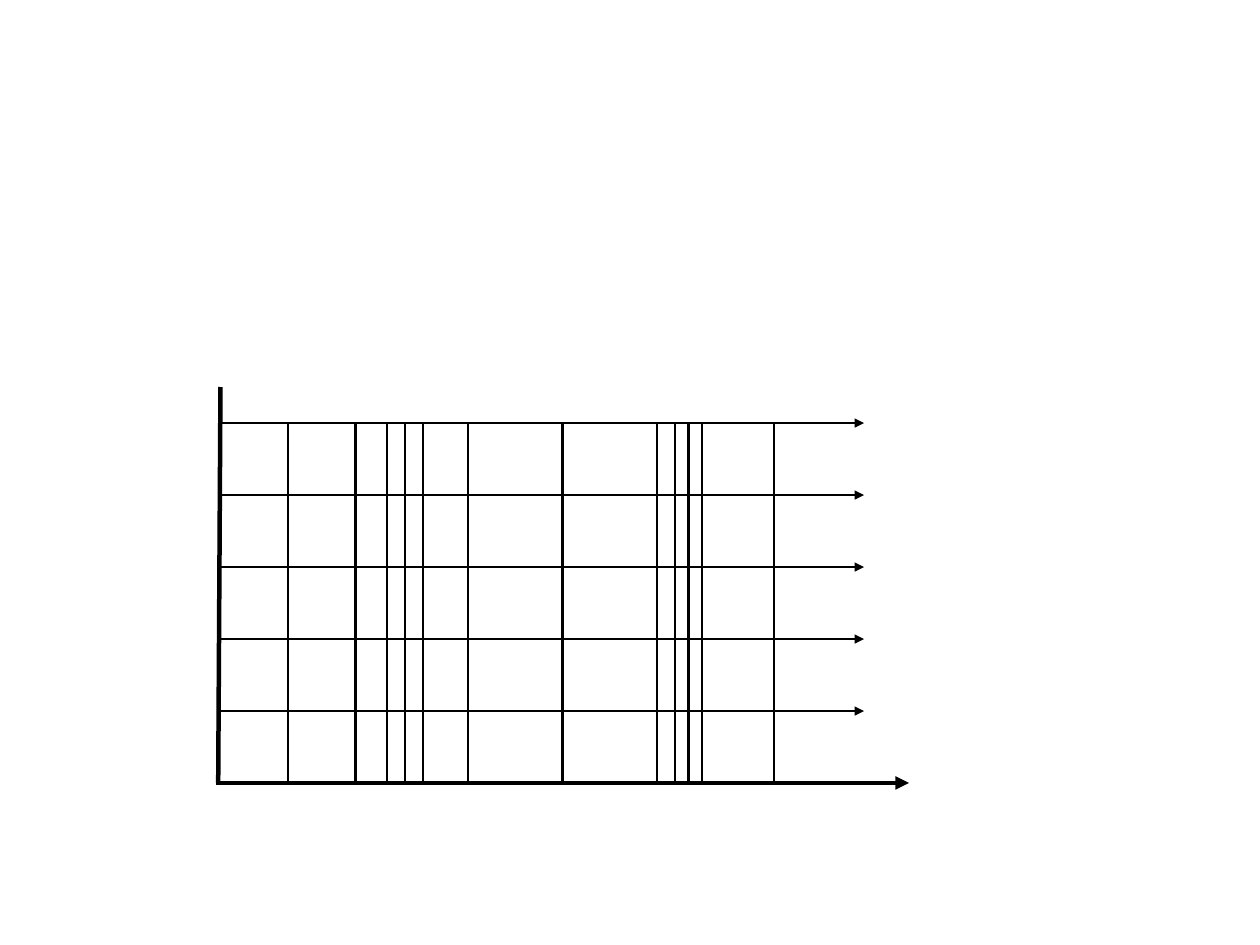
from lxml import etree
from pptx import Presentation
from pptx import util as u
from pptx.dml.color import RGBColor
from pptx.enum import shapes
from pptx.oxml import ns

COLOURS = {"line": "000000"}
AXIS = {"width": u.Pt(2.83)}
GRID = {"width": u.Pt(1.42)}
ROW_COUNT = 5
ROW_STEP = 1.6
COLUMN_OFFSETS = [1.6, 3.1, 3.8, 4.2, 4.6, 5.6, 7.7, 9.8, 10.2, 10.5, 10.8, 12.4]


def add_line(slide, start, end, line_format, arrow=False):
    points = [u.Cm(value) for value in (*start, *end)]
    connector = slide.shapes.add_connector(shapes.MSO_CONNECTOR.STRAIGHT, *points)
    connector.line.color.rgb = RGBColor.from_string(COLOURS["line"])
    for name, value in line_format.items():
        setattr(connector.line, name, value)
    if arrow:
        line = connector.line._get_or_add_ln()
        etree.SubElement(line, ns.qn("a:tailEnd"), type="triangle")
    properties = connector._element.spPr
    etree.SubElement(properties, ns.qn("a:effectLst"))


def add_axes(slide, left, top, width, height):
    bottom = top + height
    add_line(slide, (left, bottom), (left + width, bottom), AXIS, arrow=True)
    add_line(slide, (left + 0.05, bottom), (left + 0.1, top), AXIS)


def add_grid(slide, left, top, width, height):
    first_row = top + 0.8
    for row in range(ROW_COUNT):
        y = first_row + row * ROW_STEP
        add_line(slide, (left + 0.1, y), (left + width - 1, y), GRID, arrow=True)
    for offset in COLUMN_OFFSETS:
        x = left + offset
        add_line(slide, (x, first_row), (x, top + height + 0.05), GRID)


def main():
    presentation = Presentation()
    presentation.slide_width = u.Cm(28)
    presentation.slide_height = u.Cm(21)
    slide = presentation.slides.add_slide(presentation.slide_layouts[6])
    diagram_box = (4.8, 8.6, 15.4, 8.8)
    add_axes(slide, *diagram_box)
    add_grid(slide, *diagram_box)
    presentation.save("out.pptx")


if __name__ == "__main__":
    main()
